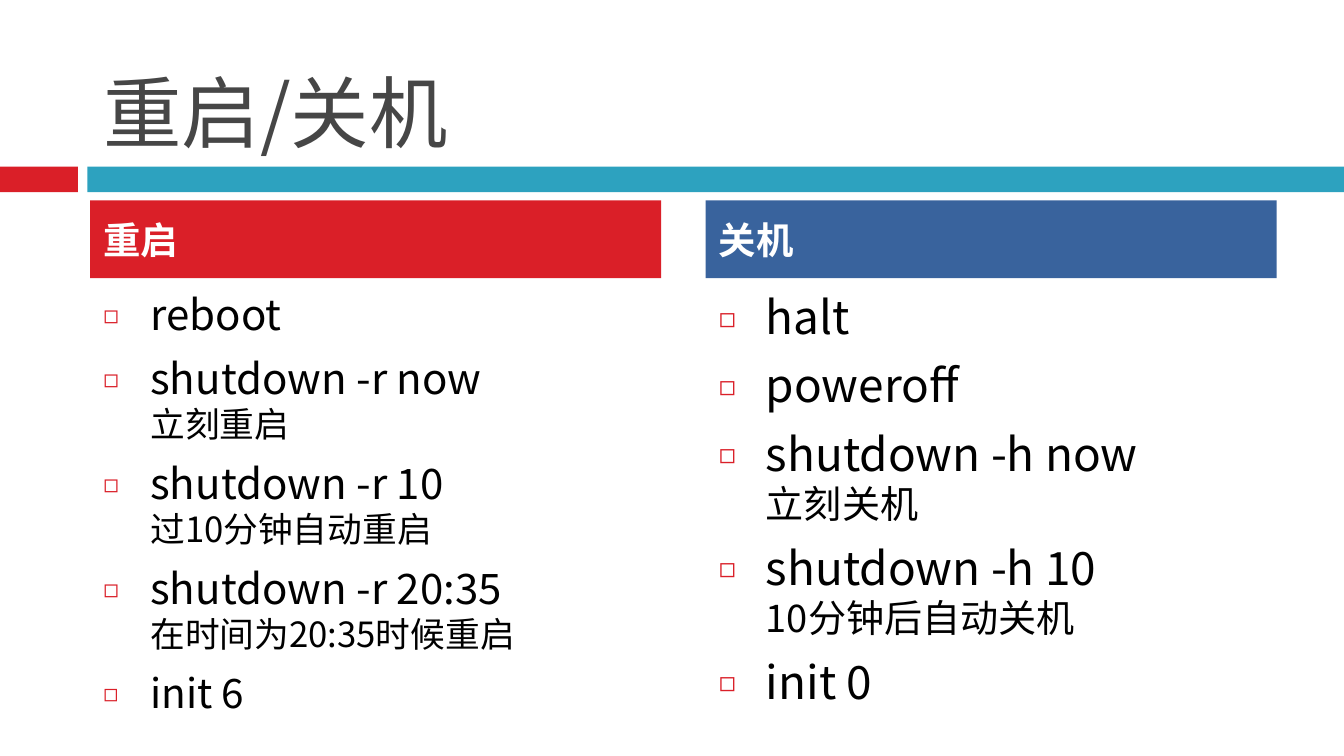
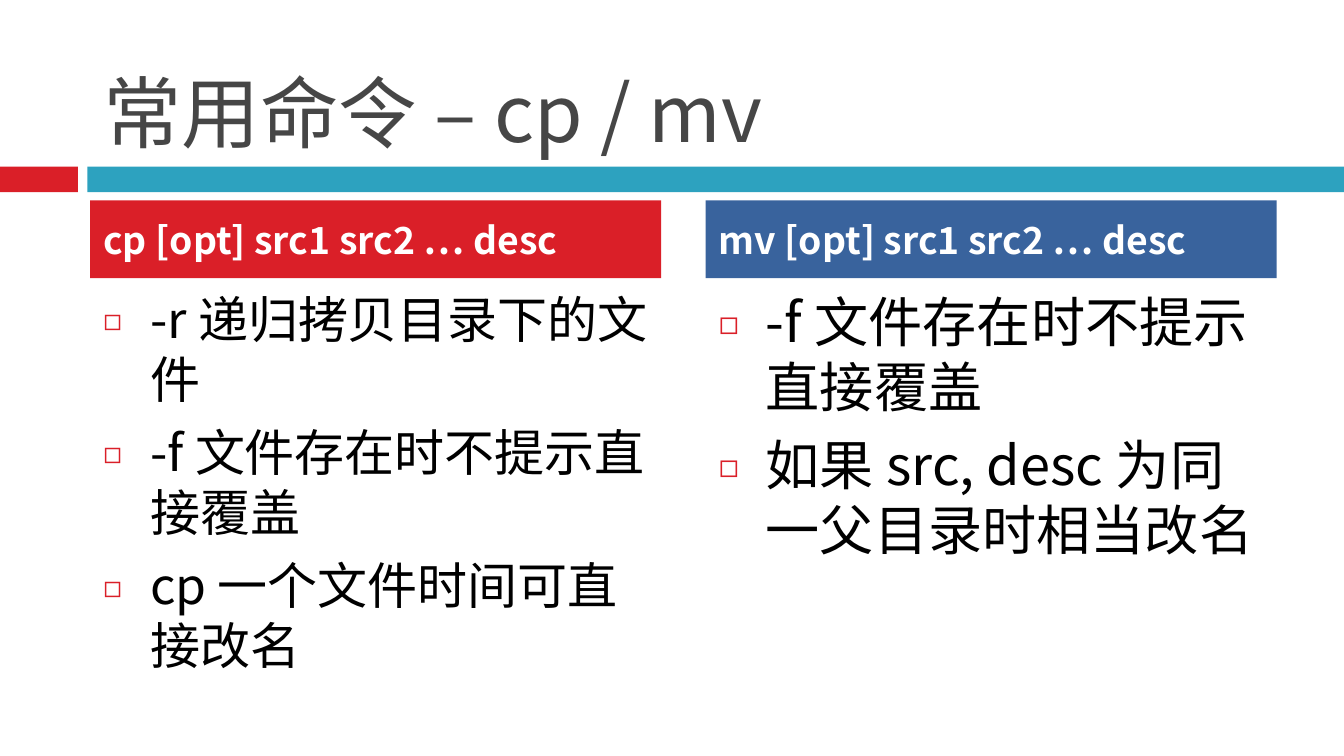
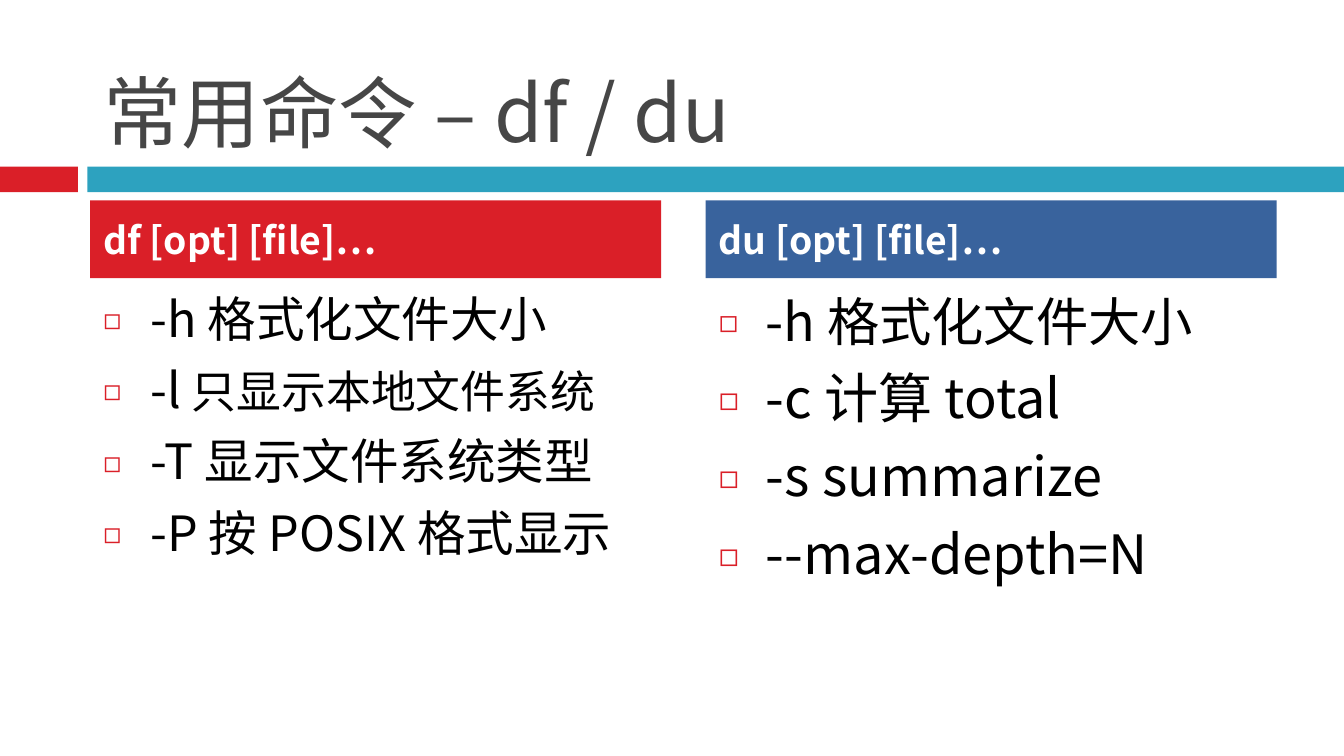
from dataclasses import dataclass

from lxml.etree import SubElement
from pptx import Presentation
from pptx.dml.color import RGBColor
from pptx.enum.shapes import MSO_SHAPE
from pptx.enum.text import MSO_ANCHOR, PP_ALIGN
from pptx.oxml.ns import qn
from pptx.util import Inches, Pt

FONT = "Noto Sans CJK SC"
RED, TEAL, BLUE = "DA1F28", "2DA2BF", "39639D"
GREY, BLACK, WHITE = "464646", "000000", "FFFFFF"
LEFT, COLUMN_WIDTH, COLUMN_STEP = 0.67, 4.25, 4.58
HEADER_COLOURS = (RED, BLUE)
INDENT = Inches(0.35)
SLIDE_WIDTH = Inches(10)
SLIDE_HEIGHT = SLIDE_WIDTH * 9 // 16


@dataclass(frozen=True)
class Item:
    """A bullet with an optional second part, on its own line or on the same one."""

    text: str
    size: float
    detail: str = ""
    detail_size: float = 0
    own_line: bool = True


@dataclass(frozen=True)
class Column:
    """A coloured header and the bullets below it."""

    header: str
    items: list[Item]


@dataclass(frozen=True)
class Page:
    """A title over two columns."""

    title: str
    columns: tuple[Column, Column]


PAGES = [
    Page("重启/关机", (
        Column("重启", [
            Item("reboot", 22.5),
            Item("shutdown -r now ", 22.5, "立刻重启", 18.6),
            Item("shutdown -r 10 ", 22.5, "过10分钟自动重启", 18.6),
            Item("shutdown -r 20:35 ", 22.5, "在时间为20:35时候重启", 18.6),
            Item("init 6", 21.7),
        ]),
        Column("关机", [
            Item("halt", 24.6),
            Item("poweroff", 24.6),
            Item("shutdown -h now ", 24.6, "立刻关机", 20.4),
            Item("shutdown -h 10 ", 24.6, "10分钟后自动关机", 20.4),
            Item("init 0", 24.6),
        ]),
    )),
    Page("常用命令 – cp / mv", (
        Column("cp [opt] src1 src2 … desc", [
            Item("-r 递归拷贝目录下的文件", 26.8),
            Item("-f 文件存在时不提示直接覆盖", 26.8),
            Item("cp 一个文件时间可直接改名", 26.8),
        ]),
        Column("mv [opt] src1 src2 … desc", [
            Item("-f 文件存在时不提示直接覆盖", 29),
            Item("如果 src, desc 为同一父目录时相当改名", 29),
        ]),
    )),
    Page("常用命令 – df / du", (
        Column("df [opt] [file]…", [
            Item("-h 格式化文件大小", 26),
            Item("-l ", 26, "只显示本地文件系统", 24, own_line=False),
            Item("-T 显示文件系统类型", 26),
            Item("-P 按 POSIX 格式显示", 26),
        ]),
        Column("du [opt] [file]…", [
            Item("-h 格式化文件大小", 28),
            Item("-c 计算 total", 29),
            Item("-s summarize", 29),
            Item("--max-depth=N", 29),
        ]),
    )),
]


def colour(value: str) -> RGBColor:
    """Turn a hex string into a colour."""
    return RGBColor.from_string(value)


def add_run(paragraph, text: str, size: float, value: str, bold: bool = False) -> None:
    """Add one formatted run, with the same font for Latin and Chinese."""
    run = paragraph.add_run()
    run.text = text
    font = run.font
    font.name, font.size, font.bold = FONT, Pt(size), bold
    font.color.rgb = colour(value)
    SubElement(run._r.get_or_add_rPr(), qn("a:ea"), typeface=FONT)


def add_band(slide, left: float, top: float, width: float, height: float, fill: str):
    """Add a plain filled rectangle."""
    shape = slide.shapes.add_shape(
        MSO_SHAPE.RECTANGLE, Inches(left), Inches(top), Inches(width), Inches(height))
    shape.shadow.inherit = False
    shape.fill.solid()
    shape.fill.fore_color.rgb = colour(fill)
    shape.line.fill.background()
    return shape


def add_text_frame(slide, left: float, top: float, width: float, height: float):
    """Add a wrapping text box and return its frame."""
    box = slide.shapes.add_textbox(
        Inches(left), Inches(top), Inches(width), Inches(height))
    box.text_frame.word_wrap = True
    return box.text_frame


def set_hanging_indent(paragraph) -> None:
    """Give a paragraph the hanging indent and the space before it."""
    paragraph.space_before = Pt(7)
    properties = paragraph._p.get_or_add_pPr()
    properties.set("marL", str(INDENT))
    properties.set("indent", str(-INDENT))


def set_bullet(paragraph) -> None:
    """Give a paragraph the small red square bullet."""
    properties = paragraph._p.get_or_add_pPr()
    bullet_colour = SubElement(properties, qn("a:buClr"))
    SubElement(bullet_colour, qn("a:srgbClr"), val=RED)
    SubElement(properties, qn("a:buSzPct"), val="60000")
    SubElement(properties, qn("a:buFont"), typeface=FONT)
    SubElement(properties, qn("a:buChar"), char="◻")


def add_title(slide, title: str) -> None:
    """Add the title, standing on the bands."""
    frame = add_text_frame(slide, LEFT, 0.13, 8.92, 1.1)
    frame.vertical_anchor = MSO_ANCHOR.BOTTOM
    add_run(frame.paragraphs[0], title, 42, GREY)


def add_header(slide, left: float, text: str, fill: str) -> None:
    """Add the coloured header of a column."""
    frame = add_band(slide, left, 1.49, COLUMN_WIDTH, 0.58, fill).text_frame
    frame.vertical_anchor = MSO_ANCHOR.MIDDLE
    paragraph = frame.paragraphs[0]
    paragraph.alignment = PP_ALIGN.LEFT
    set_hanging_indent(paragraph)
    add_run(paragraph, text, 20, WHITE, bold=True)


def add_items(slide, left: float, items: list[Item]) -> None:
    """Add the bullets of a column."""
    frame = add_text_frame(slide, left, 2.1, COLUMN_WIDTH, 2.88)
    for index, item in enumerate(items):
        paragraph = frame.add_paragraph() if index else frame.paragraphs[0]
        set_hanging_indent(paragraph)
        set_bullet(paragraph)
        add_run(paragraph, item.text, item.size, BLACK)
        if item.detail:
            if item.own_line:
                paragraph.add_line_break()
            add_run(paragraph, item.detail, item.detail_size, BLACK)


def add_page(presentation, page: Page) -> None:
    """Add one slide with its bands, title and columns."""
    slide = presentation.slides.add_slide(presentation.slide_layouts[6])
    add_band(slide, 0, 1.24, 0.58, 0.19, RED)
    add_band(slide, 0.65, 1.24, 9.35, 0.19, TEAL)
    add_title(slide, page.title)
    for index, (column, fill) in enumerate(zip(page.columns, HEADER_COLOURS)):
        left = LEFT + index * COLUMN_STEP
        add_items(slide, left, column.items)
        add_header(slide, left, column.header, fill)


def main() -> None:
    """Build and save the presentation."""
    presentation = Presentation()
    presentation.slide_width = SLIDE_WIDTH
    presentation.slide_height = SLIDE_HEIGHT
    for page in PAGES:
        add_page(presentation, page)
    presentation.save("out.pptx")


if __name__ == "__main__":
    main()
